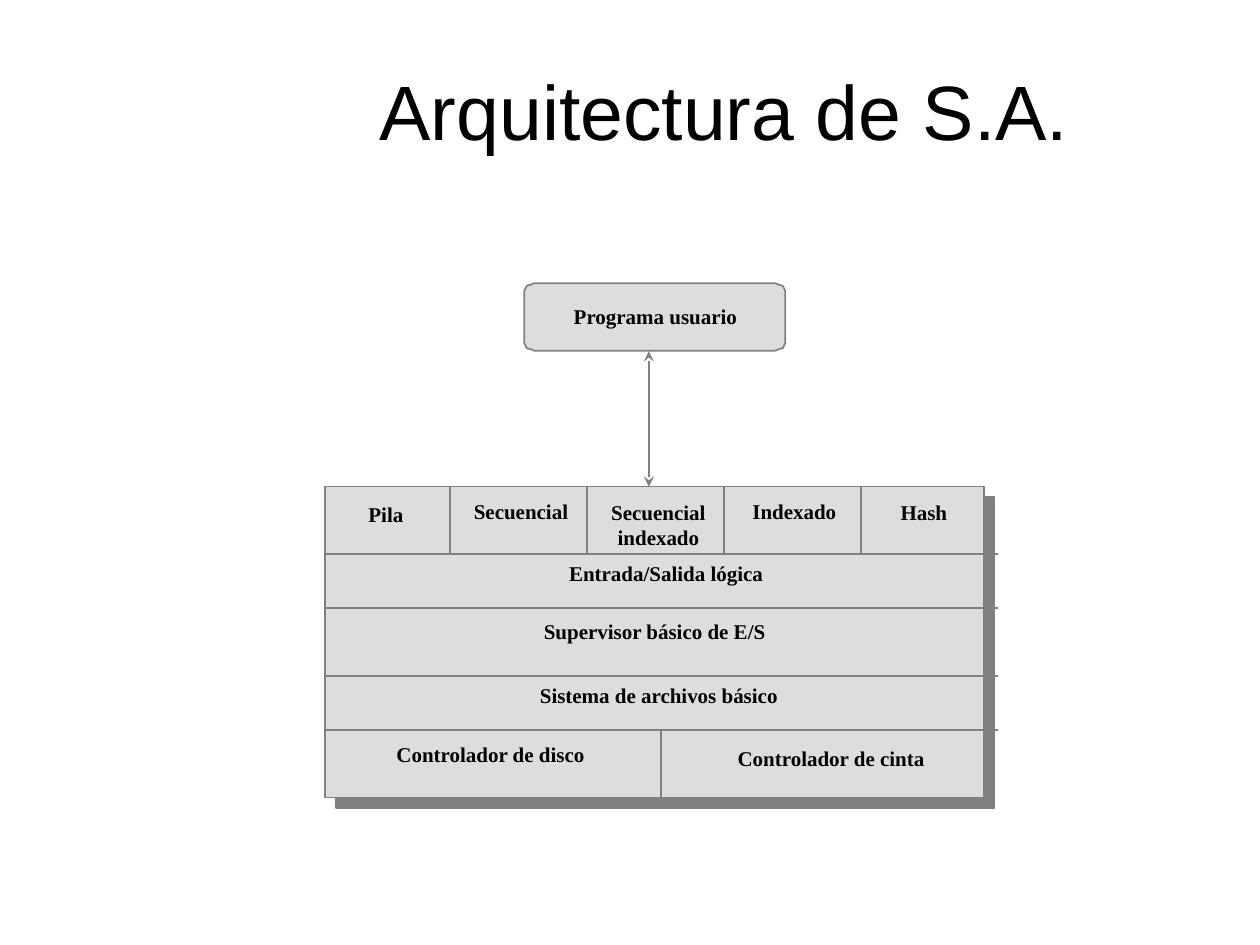
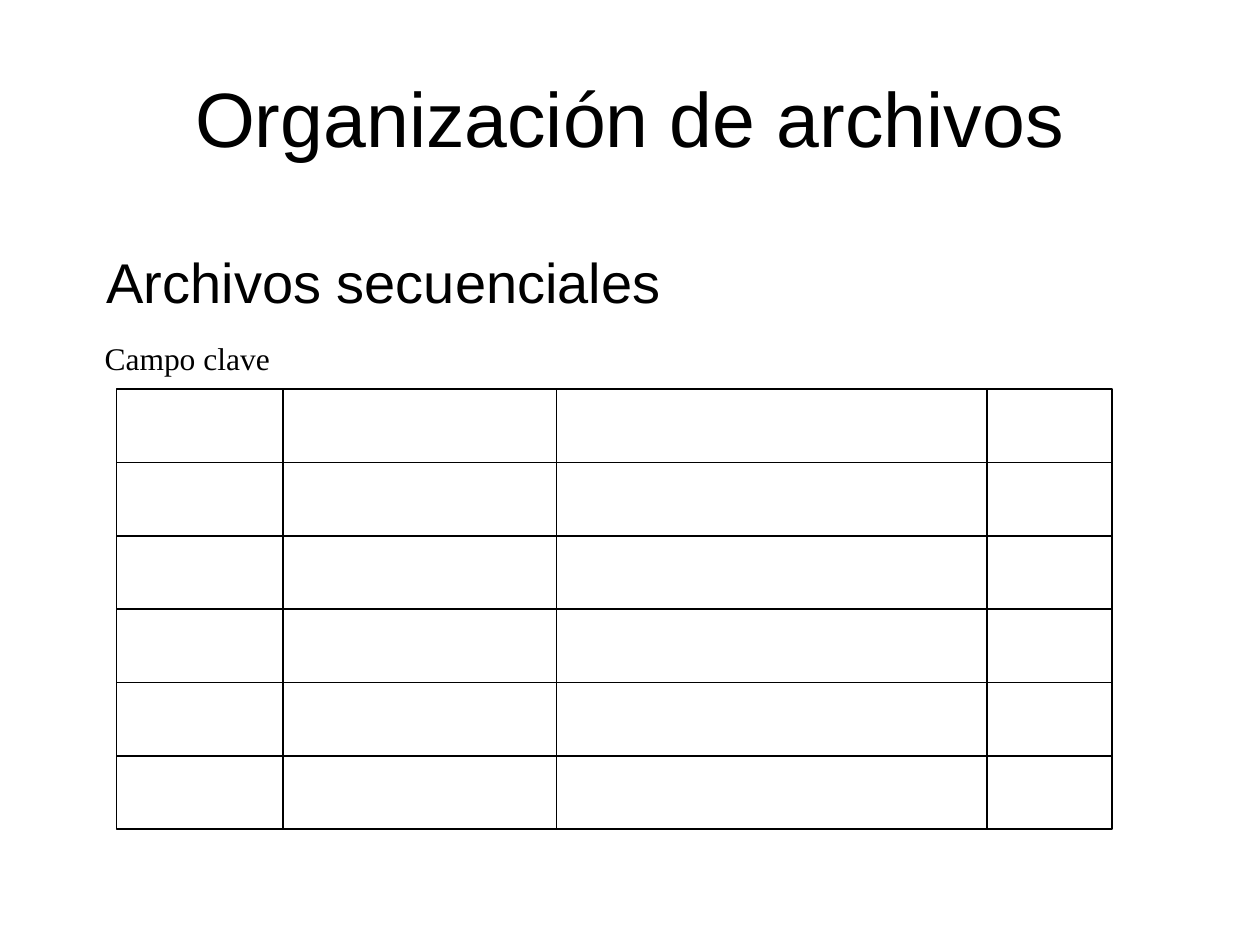
from lxml import etree
from pptx import Presentation
from pptx import util as u
from pptx.dml.color import RGBColor
from pptx.enum import shapes, text
from pptx.oxml.ns import qn

COLORS = {"ink": "000000", "panel": "DDDDDD", "edge": "808080"}
SANS, SERIF = "Arial", "Times New Roman"
LINE_WIDTH = u.Pt(1)

# Layer diagram, in centimetres
STACK_LEFT, STACK_TOP, STACK_WIDTH, STACK_HEIGHT = 6.56, 9.81, 13.28, 6.27
STACK_BOTTOM = STACK_TOP + STACK_HEIGHT
LAYER_LINES = [11.17, 12.26, 13.63, 14.72]
LAYER_LINE_ENDS = (6.57, 20.11)
METHOD_LINES = [9.07 + 2.76 * i for i in range(4)]
DRIVER_LINE = 13.33
ARROW_X = 13.08
LABELS = [  # text, left, top, width
    ("Pila", 7.17, 9.98, 1.22),
    ("Secuencial", 9.3, 9.92, 2.41),
    ("Secuencial\nindexado", 12.07, 9.95, 2.41),
    ("Indexado", 14.91, 9.92, 2.21),
    ("Hash", 17.9, 9.94, 1.45),
    ("Entrada/Salida lógica", 11.22, 11.18, 4.42),
    ("Supervisor básico de E/S", 10.7, 12.35, 5),
    ("Sistema de archivos básico", 10.62, 13.64, 5.33),
    ("Controlador de disco", 7.73, 14.82, 4.32),
    ("Controlador de cinta", 14.61, 14.91, 4.29),
    ("Programa usuario", 11.31, 5.99, 3.81),
]

# Record grid, in centimetres
GRID_LEFT, GRID_TOP, GRID_WIDTH, GRID_HEIGHT = 2.35, 7.85, 20.07, 8.86
FIELD_LINES = [5.71, 11.22, 19.89]
RECORD_COUNT = 6


def rgb(name):
    return RGBColor.from_string(COLORS[name])


def add_text(page, content, left, top, width, height, size, font=SANS,
             bold=False, align=text.PP_ALIGN.LEFT,
             anchor=text.MSO_ANCHOR.TOP, wrap=True):
    box = page.shapes.add_textbox(u.Cm(left), u.Cm(top), u.Cm(width), u.Cm(height))
    frame = box.text_frame
    frame.word_wrap = wrap
    frame.vertical_anchor = anchor
    frame.text = content
    for para in frame.paragraphs:
        para.alignment = align
        for span in para.runs:
            span.font.size = u.Pt(size)
            span.font.name = font
            span.font.bold = bold
            span.font.color.rgb = rgb("ink")


def add_title(page, content, left, top, width):
    add_text(page, content, left, top, width, 3.18, 44,
             align=text.PP_ALIGN.CENTER, anchor=text.MSO_ANCHOR.MIDDLE)


def add_label(page, content, left, top, width):
    height = 0.76 + 0.51 * content.count("\n")
    add_text(page, content, left, top, width, height, 12, SERIF, bold=True,
             align=text.PP_ALIGN.CENTER, wrap=False)


def style_panel(shape, fill, edge):
    shape.shadow.inherit = False
    if fill:
        shape.fill.solid()
        shape.fill.fore_color.rgb = rgb(fill)
    else:
        shape.fill.background()
    shape.line.color.rgb = rgb(edge)
    shape.line.width = LINE_WIDTH


def add_soft_cornered_panel(page, left, top, width, height):
    """Draw a panel whose corners are cut by three short segments."""
    right, bottom = left + width, top + height
    corner = [(0.2, 0), (0.13, 0.03), (0.05, 0.05), (0, 0.15)]
    points = [(left + x, top + y) for x, y in corner]
    points += [(left + x, bottom - y) for x, y in reversed(corner)]
    points += [(right - x, bottom - y) for x, y in corner]
    points += [(right - x, top + y) for x, y in reversed(corner)]
    start, *others = [(u.Cm(x), u.Cm(y)) for x, y in points]
    builder = page.shapes.build_freeform(*start)
    builder.add_line_segments(others, close=True)
    style_panel(builder.convert_to_shape(), "panel", "edge")


def add_rectangle(page, left, top, width, height, fill, edge):
    panel = page.shapes.add_shape(shapes.MSO_SHAPE.RECTANGLE, u.Cm(left),
                                  u.Cm(top), u.Cm(width), u.Cm(height))
    style_panel(panel, fill, edge)
    return panel


def add_hard_shadow(panel):
    effects = panel._element.spPr.find(qn("a:effectLst"))
    shadow = etree.SubElement(effects, qn("a:outerShdw"), blurRad="0",
                              dist=str(u.Pt(8.5)), dir=str(45 * 60000),
                              algn="ctr", rotWithShape="0")
    etree.SubElement(shadow, qn("a:srgbClr"), val=COLORS["edge"])


def add_line(page, x1, y1, x2, y2, color="edge", arrows=False):
    line = page.shapes.add_connector(shapes.MSO_CONNECTOR.STRAIGHT, u.Cm(x1),
                                     u.Cm(y1), u.Cm(x2), u.Cm(y2))
    line.line.color.rgb = rgb(color)
    line.line.width = LINE_WIDTH
    properties = line._element.spPr
    etree.SubElement(properties, qn("a:effectLst"))
    if arrows:
        outline = properties.find(qn("a:ln"))
        for end in ("a:headEnd", "a:tailEnd"):
            etree.SubElement(outline, qn(end), type="stealth")


def add_record_grid(page):
    add_rectangle(page, GRID_LEFT, GRID_TOP, GRID_WIDTH, GRID_HEIGHT, None, "ink")
    for i in range(1, RECORD_COUNT):
        y = GRID_TOP + i * GRID_HEIGHT / RECORD_COUNT
        add_line(page, GRID_LEFT, y, GRID_LEFT + GRID_WIDTH, y, "ink")
    for x in FIELD_LINES:
        add_line(page, x, GRID_TOP, x, GRID_TOP + GRID_HEIGHT, "ink")


def build_architecture(page):
    add_title(page, "Arquitectura de S.A.", 3.81, 0.63, 21.59)
    add_soft_cornered_panel(page, 10.57, 5.71, 5.26, 1.36)
    stack = add_rectangle(page, STACK_LEFT, STACK_TOP, STACK_WIDTH, STACK_HEIGHT,
                          "panel", "edge")
    add_hard_shadow(stack)
    start, end = LAYER_LINE_ENDS
    for y in LAYER_LINES:
        add_line(page, start, y, end, y)
    add_line(page, DRIVER_LINE, LAYER_LINES[-1], DRIVER_LINE, STACK_BOTTOM)
    for x in METHOD_LINES:
        add_line(page, x, STACK_TOP, x, LAYER_LINES[0])
    add_line(page, ARROW_X, 7.08, ARROW_X, STACK_TOP, arrows=True)
    for label in LABELS:
        add_label(page, *label)


def build_sequential_files(page):
    add_title(page, "Organización de archivos", 1.27, 0.76, 22.86)
    add_text(page, "Archivos secuenciales", 1.9, 4.87, 21.59, 11.43, 32)
    add_record_grid(page)
    add_text(page, "Campo clave", 1.86, 6.71, 3.84, 1.02, 18, SERIF, wrap=False)


def main():
    deck = Presentation()
    deck.slide_width, deck.slide_height = u.Cm(25.4), u.Cm(19.05)
    blank = deck.slide_layouts[6]
    for build in (build_architecture, build_sequential_files):
        build(deck.slides.add_slide(blank))
    deck.save("out.pptx")


if __name__ == "__main__":
    main()
